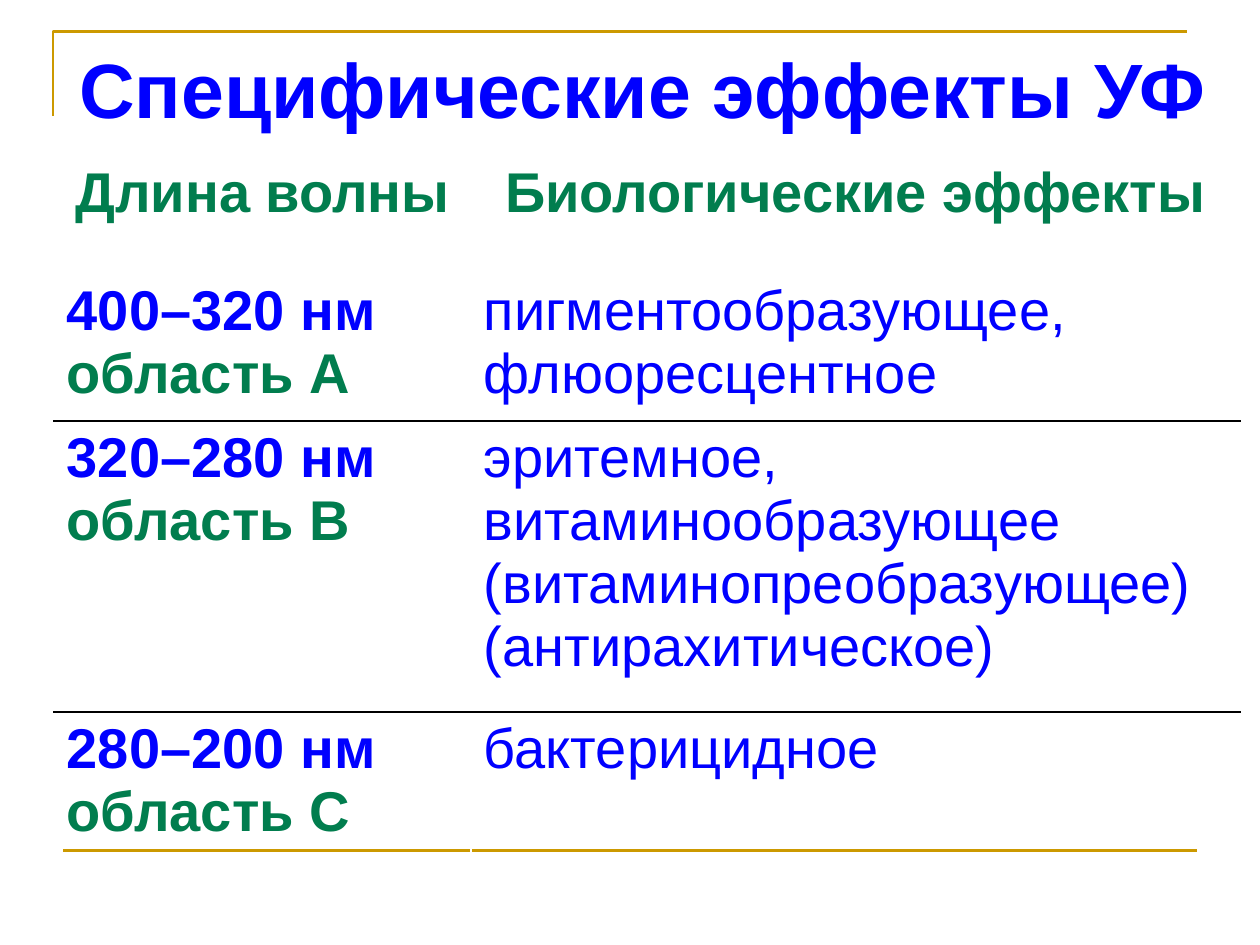
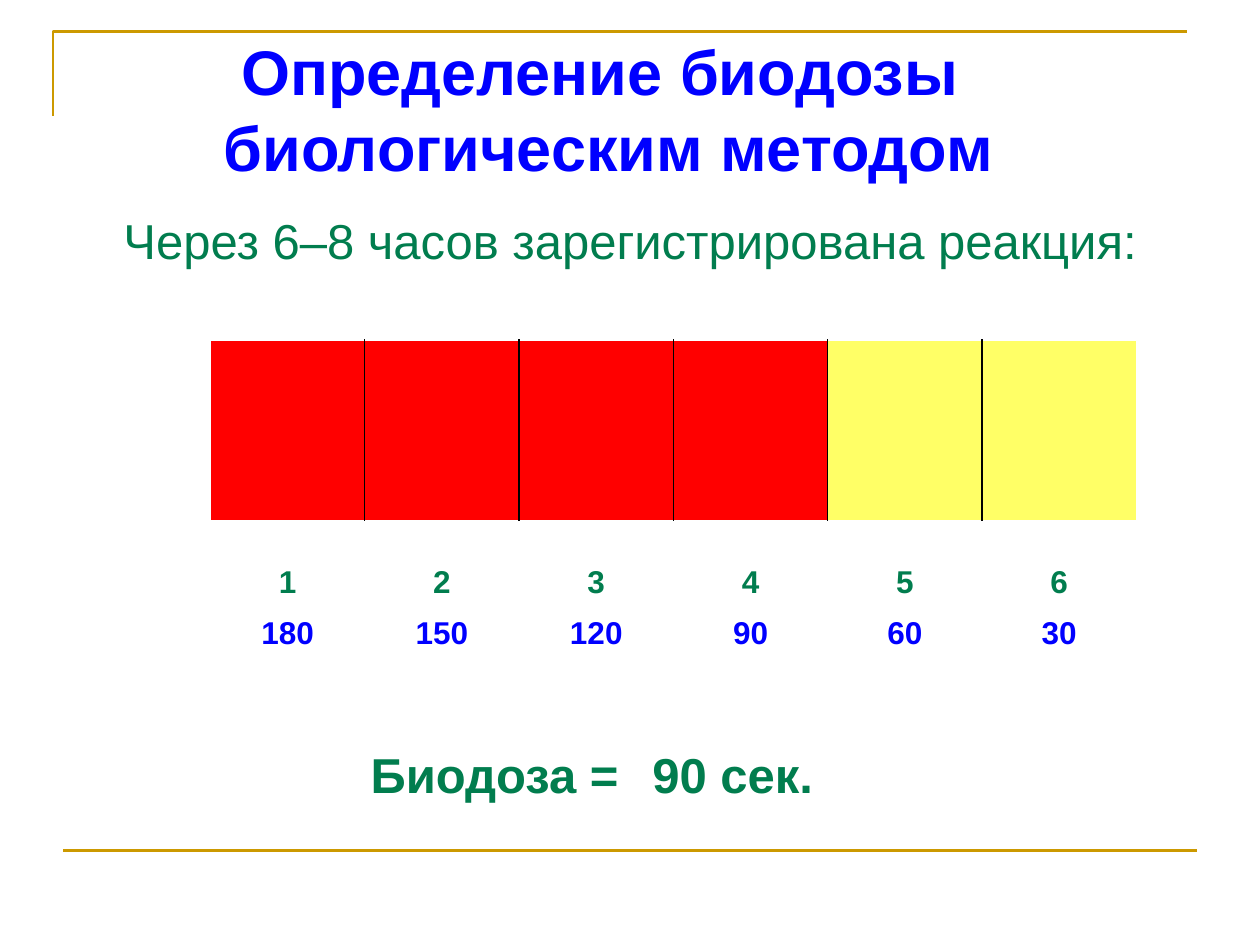
from lxml import etree
from pptx import Presentation
from pptx.dml.color import RGBColor
from pptx.enum.text import PP_ALIGN
from pptx.oxml.ns import qn
from pptx.util import Inches, Pt

COLORS = {
    "blue": "0000FF",
    "green": "017D4E",
    "gold": "CC9900",
    "red": "FF0000",
    "yellow": "FFFF66",
    "black": "000000",
    "white": "FFFFFF",
}
FONT = "Arial"


def write_text(frame, lines, size, align=PP_ALIGN.LEFT):
    """Fill a text frame with (text, colour, bold) lines, one paragraph each."""
    for index, (text, color, bold) in enumerate(lines):
        paragraph = frame.add_paragraph() if index else frame.paragraphs[0]
        paragraph.text = text
        paragraph.alignment = align
        for run in paragraph.runs:
            run.font.name = FONT
            run.font.size = Pt(size)
            run.font.bold = bold
            run.font.color.rgb = RGBColor.from_string(COLORS[color])


def add_ruled_table(slide, left, top, widths, heights, row_lines, column_line):
    """Add an unfilled table; row_lines colours the rules from top to bottom."""
    frame = slide.shapes.add_table(
        len(heights), len(widths), Inches(left), Inches(top),
        Inches(sum(widths)), Inches(sum(heights)))
    table = frame.table
    table.first_row = table.horz_banding = False
    for column, width in zip(table.columns, widths):
        column.width = Inches(width)
    for row_index, height in enumerate(heights):
        table.rows[row_index].height = Inches(height)
        for column_index in range(len(widths)):
            cell = table.cell(row_index, column_index)
            borders = {
                "a:lnL": column_line if column_index else "white",
                "a:lnR": column_line if column_index < len(widths) - 1 else "white",
                "a:lnT": row_lines[row_index],
                "a:lnB": row_lines[row_index + 1],
            }
            properties = cell._tc.get_or_add_tcPr()
            for side, color in borders.items():
                line = etree.SubElement(properties, qn(side), w=str(Pt(1)))
                fill = etree.SubElement(line, qn("a:solidFill"))
                etree.SubElement(fill, qn("a:srgbClr"), val=COLORS[color])
            cell.fill.background()
    return table


presentation = Presentation()
presentation.slide_width = Inches(10)
presentation.slide_height = Inches(7.5)

# Shared frame: corner at the top left and rule at the bottom
slides = []
for number in range(2):
    slide = presentation.slides.add_slide(presentation.slide_layouts[6])
    builder = slide.shapes.build_freeform(Inches(0.42), Inches(0.92), scale=1.0)
    builder.add_line_segments(
        [(Inches(0.42), Inches(0.25)), (Inches(9.42), Inches(0.25))], close=False)
    corner = builder.convert_to_shape()
    corner.fill.background()
    corner.shadow.inherit = False
    rule = slide.shapes.add_connector(
        1, Inches(0.5), Inches(6.75), Inches(9.5), Inches(6.75))
    etree.SubElement(rule._element.spPr, qn("a:effectLst"))
    for shape in (corner, rule):
        shape.line.color.rgb = RGBColor.from_string(COLORS["gold"])
        shape.line.width = Pt(1.5)
    slides.append(slide)
effects_slide, biodose_slide = slides

# Titles and captions: slide, box, wrap, text, colour, bold, size, alignment
captions = [
    (effects_slide, (0.53, 0.28, 9.4, 0.84), False,
     "Специфические эффекты УФ", "blue", True, 44, PP_ALIGN.LEFT),
    (biodose_slide, (0.33, 0.21, 9, 1.31), True,
     "Определение биодозы \vбиологическим методом", "blue", True, 36, PP_ALIGN.CENTER),
    (biodose_slide, (0.51, 1.62, 8.98, 0.57), True,
     "Через 6–8 часов зарегистрирована реакция:", "green", False, 28, PP_ALIGN.CENTER),
    (biodose_slide, (1.86, 5.86, 4.24, 0.57), True,
     "Биодоза = ", "green", True, 28, PP_ALIGN.CENTER),
    (biodose_slide, (5.08, 5.86, 2.6, 0.57), True,
     "90 сек.", "green", True, 28, PP_ALIGN.LEFT),
]
for slide, box, wrap, text, color, bold, size, align in captions:
    shape = slide.shapes.add_textbox(*(Inches(length) for length in box))
    shape.text_frame.word_wrap = wrap
    write_text(shape.text_frame, [(text, color, bold)], size, align)

# Slide 1: effects by wavelength
effects_table = add_ruled_table(
    effects_slide, 0.43, 1.23, [3.31, 6.1], [0.94, 1.17, 2.31, 1.17],
    ["white", "white", "black", "black", "white"], "white")
for column, heading in enumerate(["Длина волны", "Биологические эффекты"]):
    write_text(effects_table.cell(0, column).text_frame,
               [(heading, "green", True)], 32, PP_ALIGN.CENTER)
effects = [
    ("400–320 нм", "область А", "пигментообразующее,\vфлюоресцентное"),
    ("320–280 нм", "область В",
     "эритемное, витаминообразующее (витаминопреобразующее) (антирахитическое)"),
    ("280–200 нм", "область С", "бактерицидное"),
]
for row, (wavelength, region, effect) in enumerate(effects, start=1):
    write_text(effects_table.cell(row, 0).text_frame,
               [(wavelength, "blue", True), (region, "green", True)], 32)
    write_text(effects_table.cell(row, 1).text_frame, [(effect, "blue", False)], 32)

# Slide 2: skin reaction strip, with field numbers and seconds below it
field_widths = [7.35 / 6] * 6
reaction_table = add_ruled_table(
    biodose_slide, 1.67, 2.7, field_widths, [1.43], ["white", "white"], "black")
dose_table = add_ruled_table(
    biodose_slide, 1.67, 4.43, field_widths, [0.41, 0.4], ["white"] * 3, "white")
for field, seconds in enumerate([180, 150, 120, 90, 60, 30]):
    reaction = reaction_table.cell(0, field)
    reaction.fill.solid()
    reaction.fill.fore_color.rgb = RGBColor.from_string(
        COLORS["red" if seconds >= 90 else "yellow"])
    for row, (value, color) in enumerate([(field + 1, "green"), (seconds, "blue")]):
        write_text(dose_table.cell(row, field).text_frame,
                   [(str(value), color, True)], 18, PP_ALIGN.CENTER)

presentation.save("out.pptx")
